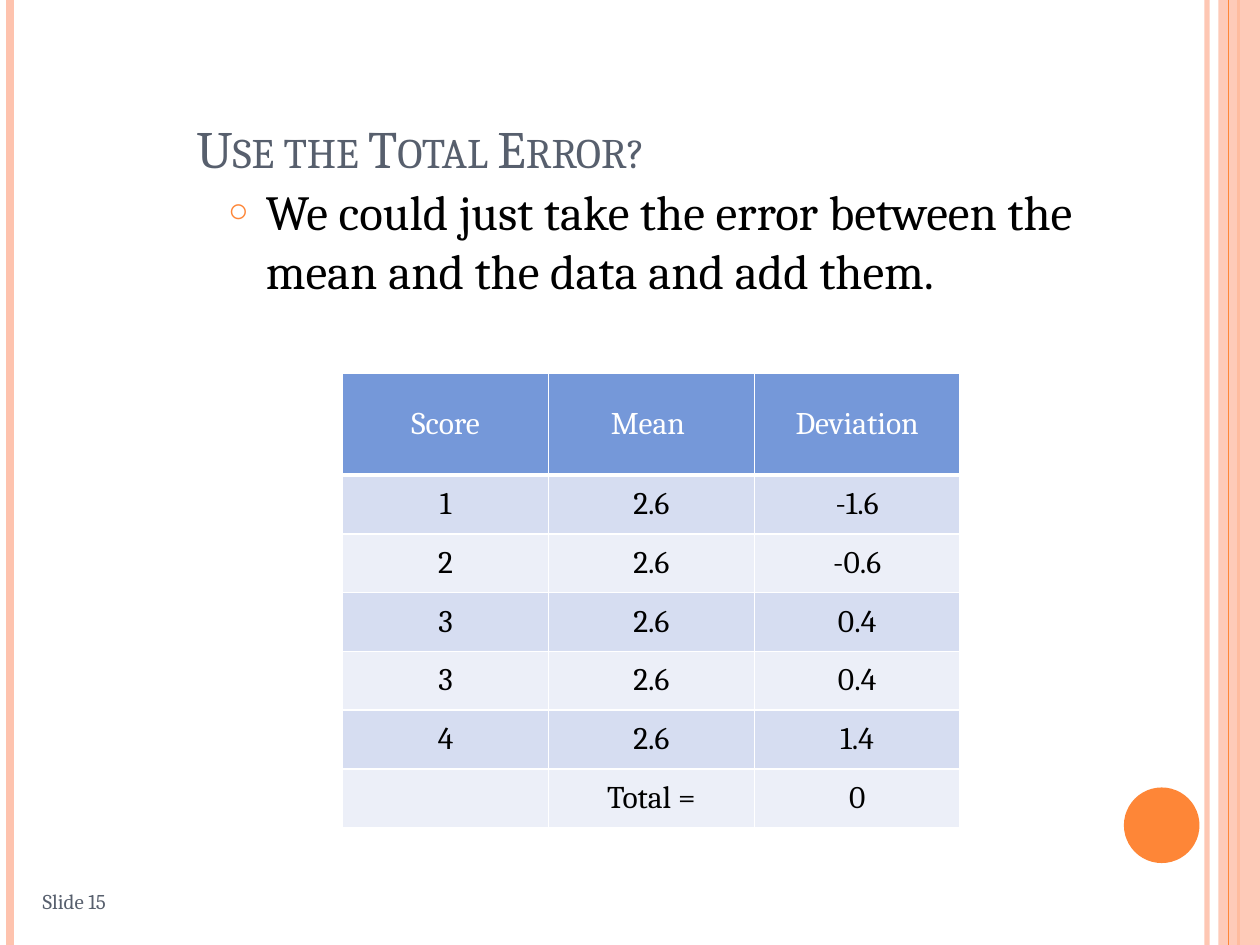
from lxml import etree
from pptx import Presentation
from pptx.dml.color import RGBColor
from pptx.enum.shapes import MSO_CONNECTOR, MSO_SHAPE
from pptx.enum.text import MSO_ANCHOR, MSO_AUTO_SIZE, PP_ALIGN
from pptx.oxml.ns import qn
from pptx.util import Pt

STRAIGHT = MSO_CONNECTOR.STRAIGHT
RECT, OVAL = MSO_SHAPE.RECTANGLE, MSO_SHAPE.OVAL
TOP, MIDDLE, BOTTOM = MSO_ANCHOR.TOP, MSO_ANCHOR.MIDDLE, MSO_ANCHOR.BOTTOM
LEFT, CENTER, RIGHT = PP_ALIGN.LEFT, PP_ALIGN.CENTER, PP_ALIGN.RIGHT
NO_FIT = MSO_AUTO_SIZE.NONE

EMU_PER_PX = 9144
WIDTH, HEIGHT = 1000, 750
FONT = "Cambria"
BLACK, WHITE, SLATE = "000000", "FFFFFF", "575F6D"
ORANGE, PEACH = "FE8637", "FEC3AE"
HEADER, BANDS = "7598D9", ("ECEFF8", "D6DDF1")

SCORES = [
    ("Score", "Mean ", "Deviation"),
    ("1", "2.6", "-1.6"),
    ("2", "2.6", "-0.6"),
    ("3", "2.6", "0.4"),
    ("3", "2.6", "0.4"),
    ("4", "2.6", "1.4"),
    ("", "Total =", "0"),
]


def px(n):
    return round(n * EMU_PER_PX)


def rgb(color):
    return RGBColor.from_string(color)


def sub(parent, tag, **attrs):
    return etree.SubElement(parent, qn(tag), attrs)


def set_alpha(sp, percent):
    for clr in sp._element.spPr.iter(qn("a:srgbClr")):
        sub(clr, "a:alpha", val=str(percent * 1000))


class SlideBuilder:
    def __init__(self, prs, layout):
        self.s = prs.slides.add_slide(layout)

    def style_text(self, tf, size, color, align=LEFT):
        for p in tf.paragraphs:
            p.alignment = align
            for r in p.runs:
                r.font.name = FONT
                r.font.size = Pt(size)
                r.font.color.rgb = rgb(color)

    def line(self, x, color, weight, alpha=100):
        sp = self.s.shapes.add_connector(STRAIGHT, px(x), 0, px(x), px(HEIGHT))
        sp.line.color.rgb = rgb(color)
        sp.line.width = Pt(weight)
        if alpha < 100:
            set_alpha(sp, alpha)
        sub(sp._element.spPr, "a:effectLst")

    def shape(self, kind, box, color, alpha=100):
        sp = self.s.shapes.add_shape(kind, *map(px, box))
        sp.shadow.inherit = False
        sp.fill.solid()
        sp.fill.fore_color.rgb = rgb(color)
        sp.line.fill.background()
        if alpha < 100:
            set_alpha(sp, alpha)

    def placeholder(self, idx, box, text, size, color, anchor):
        sp = self.s.placeholders[idx]
        sp.left, sp.top, sp.width, sp.height = map(px, box)
        tf = sp.text_frame
        tf.text = text
        tf.auto_size = NO_FIT
        tf.vertical_anchor = anchor
        self.style_text(tf, size, color)
        return tf.paragraphs[0]

    def title(self, box, text):
        p = self.placeholder(0, box, text, 30, SLATE, BOTTOM)
        p.runs[0].font._element.set("cap", "small")

    def bullet(self, box, text):
        p = self.placeholder(1, box, text, 28, BLACK, TOP)
        p.space_before = Pt(0)
        pPr = p._p.get_or_add_pPr()
        pPr.set("marL", str(px(30)))
        pPr.set("indent", str(px(-30)))
        sub(sub(pPr, "a:buClr"), "a:srgbClr", val=ORANGE)
        sub(pPr, "a:buSzPct", val="70000")
        sub(pPr, "a:buChar", char="○")

    def text(self, box, text, size, color, align):
        tf = self.s.shapes.add_textbox(*map(px, box)).text_frame
        tf.word_wrap = True
        tf.vertical_anchor = MIDDLE
        tf.text = text
        self.style_text(tf, size, color, align)

    def cell(self, cell, text, fill, color, bottom):
        cell.text = text
        cell.vertical_anchor = MIDDLE
        self.style_text(cell.text_frame, 18, color, CENTER)
        tcPr = cell._tc.get_or_add_tcPr()
        for side, weight in zip("LRTB", (1, 1, 1, bottom)):
            ln = sub(tcPr, f"a:ln{side}", w=str(Pt(weight)))
            sub(sub(ln, "a:solidFill"), "a:srgbClr", val=WHITE)
        cell.fill.solid()
        cell.fill.fore_color.rgb = rgb(fill)

    def table(self, box, rows, header_height):
        frame = self.s.shapes.add_table(len(rows), len(rows[0]), *map(px, box))
        row_height = (box[3] - header_height) / (len(rows) - 1)
        for i, values in enumerate(rows):
            frame.table.rows[i].height = px(row_height if i else header_height)
            fill, color, bottom = (BANDS[i % 2], BLACK, 1) if i else (HEADER, WHITE, 3)
            for j, value in enumerate(values):
                self.cell(frame.table.cell(i, j), value, fill, color, bottom)


def main():
    prs = Presentation()
    prs.slide_width, prs.slide_height = px(WIDTH), px(HEIGHT)
    slide = SlideBuilder(prs, prs.slide_layouts[1])

    slide.line(958, PEACH, 3, 93)
    slide.line(8, PEACH, 4.5)
    slide.line(983, ORANGE, 1.5)
    slide.shape(RECT, (967, 0, 33, HEIGHT), PEACH, 87)
    slide.line(975, ORANGE, 0.75)
    slide.shape(OVAL, (892, 625, 60, 60), ORANGE)

    slide.title((146, 22, 782, 125), "Use the Total Error?")
    slide.bullet(
        (171, 139, 754, 135),
        "We could just take the error between the mean and the data and add them.",
    )
    slide.text((0, 695, 94, 40), "Slide 15", 12, SLATE, RIGHT)
    slide.table((272, 296, 490, 361), SCORES, 81)
    prs.save("out.pptx")


if __name__ == "__main__":
    main()
